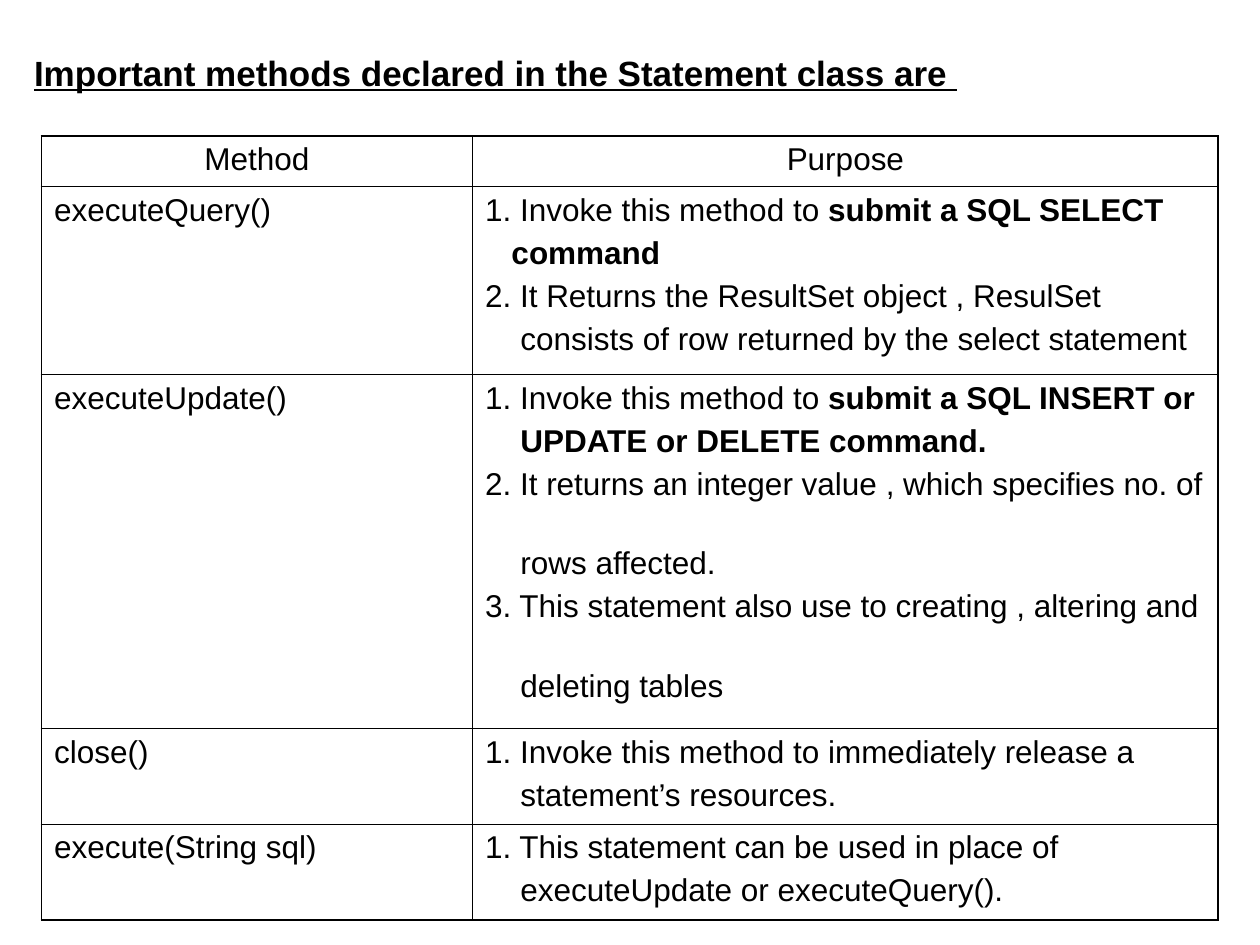
from dataclasses import dataclass

from lxml.etree import SubElement
from pptx import Presentation
from pptx.dml.color import RGBColor
from pptx.enum.text import MSO_ANCHOR, MSO_AUTO_SIZE, PP_ALIGN
from pptx.oxml.ns import qn
from pptx.util import Inches, Pt


@dataclass(frozen=True)
class Theme:
    font: str = "Arial"
    ink: str = "000000"
    head: float = 20
    body: float = 18
    thin: float = 0.45
    thick: float = 1.08
    space: float = 4.5
    wide: float = 25.2
    indent: float = 0.28


@dataclass(frozen=True)
class Line:
    text: str
    indent: float = 0
    space: float = Theme.space


def more(text, indent=Theme.indent, space=Theme.space):
    return Line(text, indent, space)


class Deck:
    def __init__(self, theme):
        self.theme = theme
        self.file = Presentation()
        self.file.slide_width = Inches(10)
        self.file.slide_height = Inches(7.5)
        self.slide = self.file.slides.add_slide(self.file.slide_layouts[5])

    def style(self, run, size, bold=False):
        font = run.font
        font.name = self.theme.font
        font.size = Pt(size)
        font.bold = bold
        font.color.rgb = RGBColor.from_string(self.theme.ink)

    def title(self, text, left, top, width, height):
        shape = self.slide.shapes.title
        shape.left, shape.top = Inches(left), Inches(top)
        shape.width, shape.height = Inches(width), Inches(height)
        frame = shape.text_frame
        frame.text = text
        frame.word_wrap = True
        frame.auto_size = MSO_AUTO_SIZE.NONE
        frame.vertical_anchor = MSO_ANCHOR.TOP
        para = frame.paragraphs[0]
        para.alignment = PP_ALIGN.LEFT
        para.line_spacing = 0.8
        para.add_run().text = " "
        for run, size in zip(para.runs, (self.theme.head, self.theme.body)):
            self.style(run, size, True)
            run.font.underline = True

    def border(self, cell, widths):
        props = cell._tc.get_or_add_tcPr()
        for side, width in zip("LRTB", widths):
            line = SubElement(props, qn(f"a:ln{side}"), w=str(Pt(width)))
            fill = SubElement(line, qn("a:solidFill"))
            SubElement(fill, qn("a:srgbClr"), val=self.theme.ink)

    def label(self, cell, lines, align):
        frame = cell.text_frame
        frame.text = "\n".join(line.text for line in lines)
        for place, (para, line) in enumerate(zip(frame.paragraphs, lines)):
            para.alignment = align
            para.space_before = Pt(line.space if place else 0)
            props = para._p.get_or_add_pPr()
            props.set("marL", str(Inches(line.indent)))
            props.set("indent", "0")
            para.clear()
            for spot, part in enumerate(line.text.split("**")):
                if part:
                    run = para.add_run()
                    run.text = part
                    self.style(run, self.theme.body, spot % 2 == 1)

    def table(self, rows, left, top, widths, heights):
        frame = self.slide.shapes.add_table(
            len(rows), len(widths), Inches(left), Inches(top),
            Inches(sum(widths)), Inches(sum(heights)))
        grid = frame.table
        grid.first_row = grid.horz_banding = False
        for col, width in zip(grid.columns, widths):
            col.width = Inches(width)
        for row, height in zip(grid.rows, heights):
            row.height = Inches(height)
        end, last = len(rows) - 1, len(widths) - 1
        for y, row in enumerate(rows):
            for x, lines in enumerate(row):
                cell = grid.cell(y, x)
                cell.vertical_anchor = MSO_ANCHOR.TOP
                edges = (x == 0, x == last, y == 0, y == end)
                self.border(cell, [self.theme.thick if edge else self.theme.thin
                                   for edge in edges])
                cell.fill.background()
                self.label(cell, lines,
                           PP_ALIGN.LEFT if y else PP_ALIGN.CENTER)


ROWS = [
    ([Line("Method")], [Line("Purpose")]),
    ([Line("executeQuery()")], [
        Line("1. Invoke this method to **submit a SQL SELECT**"),
        more("**command**", 0.21),
        Line("2. It Returns the ResultSet object , ResulSet"),
        more("consists of row returned by the select statement"),
    ]),
    ([Line("executeUpdate()")], [
        Line("1. Invoke this method to **submit a SQL INSERT or**"),
        more("**UPDATE or DELETE command.**"),
        Line("2. It returns an integer value , which specifies no. of"),
        more("rows affected.", space=Theme.wide),
        Line("3. This statement also use to creating , altering and"),
        more("deleting tables", space=Theme.wide),
    ]),
    ([Line("close()")], [
        Line("1. Invoke this method to immediately release a"),
        more("statement’s resources."),
    ]),
    ([Line("execute(String sql)")], [
        Line("1. This statement can be used in place of"),
        more("executeUpdate or executeQuery()."),
    ]),
]


def main():
    deck = Deck(Theme())
    deck.title("Important methods declared in the Statement class are",
               0.17, 0.42, 9.25, 0.83)
    deck.table(ROWS, 0.33, 1.08, (3.42, 5.92), (0.4, 1.49, 2.81, 0.76, 0.76))
    deck.file.save("out.pptx")


if __name__ == "__main__":
    main()
